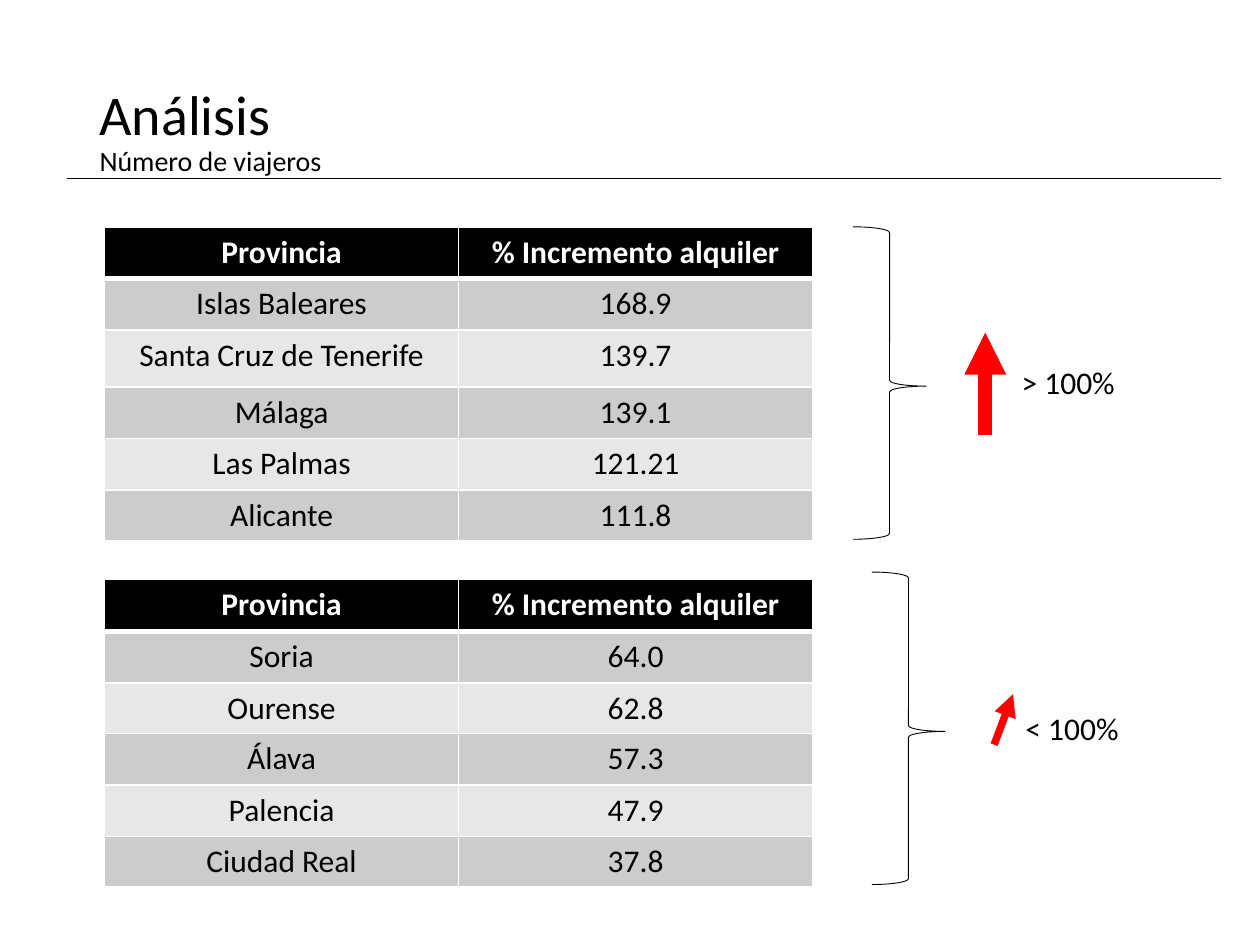
import dataclasses

import pptx
import pptx.dml.color
import pptx.enum.shapes
import pptx.enum.text
import pptx.oxml.ns
import pptx.util
from lxml import etree

Inches = pptx.util.Inches
Pt = pptx.util.Pt
Align = pptx.enum.text.PP_ALIGN
Anchor = pptx.enum.text.MSO_ANCHOR
qn = pptx.oxml.ns.qn


@dataclasses.dataclass(frozen=True)
class Theme:
    font: str = "Calibri"
    ink: str = "000000"
    paper: str = "FFFFFF"
    accent: str = "FF0000"
    bands: tuple = ("CCCCCC", "E7E7E7")
    title_size: int = 32
    subtitle_size: int = 16
    body_size: int = 18
    hairline: float = 0.5


THEME = Theme()
HEADER = ("Provincia", "% Incremento alquiler")
HIGH_ROWS = (
    ("Islas Baleares", "168.9"),
    ("Santa Cruz de Tenerife", "139.7"),
    ("Málaga", "139.1"),
    ("Las Palmas", "121.21"),
    ("Alicante", "111.8"),
)
LOW_ROWS = (
    ("Soria", "64.0"),
    ("Ourense", "62.8"),
    ("Álava", "57.3"),
    ("Palencia", "47.9"),
    ("Ciudad Real", "37.8"),
)


def rgb(value):
    return pptx.dml.color.RGBColor.from_string(value)


def write_text(paragraph, text, size=THEME.body_size, color=THEME.ink, bold=False, align=Align.LEFT):
    paragraph.alignment = align
    run = paragraph.add_run()
    run.text = text
    run.font.name = THEME.font
    run.font.size = Pt(size)
    run.font.bold = bold
    run.font.color.rgb = rgb(color)


def add_title(slide, title, subtitle):
    shape = slide.shapes.title
    shape.left, shape.top = Inches(0.69), Inches(0.48)
    shape.width, shape.height = Inches(8.62), Inches(1.14)
    frame = shape.text_frame
    frame.auto_size = pptx.enum.text.MSO_AUTO_SIZE.NONE
    frame.vertical_anchor = Anchor.MIDDLE
    paragraph = frame.paragraphs[0]
    paragraph.line_spacing = 0.9
    write_text(paragraph, title, size=THEME.title_size)
    paragraph.add_line_break()
    write_text(paragraph, subtitle, size=THEME.subtitle_size)


def add_line(slide, start, end, color=THEME.ink, width=THEME.hairline, arrow=False):
    points = [Inches(value) for value in (*start, *end)]
    line = slide.shapes.add_connector(pptx.enum.shapes.MSO_CONNECTOR.STRAIGHT, *points)
    line.line.color.rgb = rgb(color)
    line.line.width = Pt(width)
    if arrow:
        etree.SubElement(line.line._get_or_add_ln(), qn("a:tailEnd"), type="triangle")
    etree.SubElement(line._element.spPr, qn("a:effectLst"))


def set_borders(cell, top, bottom):
    """Draw the four cell borders, with widths in points for top and bottom."""
    properties = cell._tc.get_or_add_tcPr()
    for side, width in (("L", 1), ("R", 1), ("T", top), ("B", bottom)):
        border = etree.SubElement(properties, qn(f"a:ln{side}"), w=str(Pt(width)))
        fill = etree.SubElement(border, qn("a:solidFill"))
        etree.SubElement(fill, qn("a:srgbClr"), val=THEME.paper)


def add_province_table(slide, top, rows, heights):
    content = (HEADER, *rows)
    table = slide.shapes.add_table(
        len(content), len(HEADER), Inches(0.83), Inches(top), Inches(5.62), Inches(sum(heights))
    ).table
    for column in table.columns:
        column.width = Inches(2.81)
    for index, (values, height) in enumerate(zip(content, heights)):
        table.rows[index].height = Inches(height)
        header = index == 0
        for column, value in enumerate(values):
            cell = table.cell(index, column)
            set_borders(cell, top=3 if index == 1 else 1, bottom=3 if header else 1)
            cell.fill.solid()
            cell.fill.fore_color.rgb = rgb(THEME.ink if header else THEME.bands[(index - 1) % 2])
            write_text(
                cell.text_frame.paragraphs[0],
                value,
                color=THEME.paper if header else THEME.ink,
                bold=header,
                align=Align.CENTER,
            )


def add_brace(slide, left, top):
    brace = slide.shapes.add_shape(
        pptx.enum.shapes.MSO_SHAPE.RIGHT_BRACE, Inches(left), Inches(top), Inches(0.58), Inches(2.48)
    )
    brace.adjustments[0] = 0.08
    brace.adjustments[1] = 0.51
    brace.shadow.inherit = False
    brace.fill.background()
    brace.line.color.rgb = rgb(THEME.ink)
    brace.line.width = Pt(THEME.hairline)


def add_label(slide, left, top, text):
    box = slide.shapes.add_textbox(Inches(left), Inches(top), Inches(1.89), Inches(0.4))
    box.text_frame.word_wrap = True
    write_text(box.text_frame.paragraphs[0], text)


def main():
    presentation = pptx.Presentation()
    presentation.slide_width, presentation.slide_height = Inches(10), Inches(7.5)
    slide = presentation.slides.add_slide(presentation.slide_layouts[5])

    add_title(slide, "Análisis", "Número de viajeros")
    add_line(slide, (0.53, 1.42), (9.69, 1.42))

    add_province_table(slide, 1.8, HIGH_ROWS, (0.41, 0.41, 0.45, 0.41, 0.41, 0.4))
    add_label(slide, 8.01, 2.83, "> 100%")
    add_line(slide, (7.82, 3.45), (7.82, 2.64), color=THEME.accent, width=8, arrow=True)
    add_brace(slide, 6.77, 1.8)

    add_province_table(slide, 4.6, LOW_ROWS, (0.41, 0.41, 0.4, 0.41, 0.41, 0.4))
    add_label(slide, 8.04, 5.58, "< 100%")
    add_line(slide, (7.89, 5.91), (8.04, 5.51), color=THEME.accent, width=4.25, arrow=True)
    add_brace(slide, 6.92, 4.54)

    presentation.save("out.pptx")


if __name__ == "__main__":
    main()
